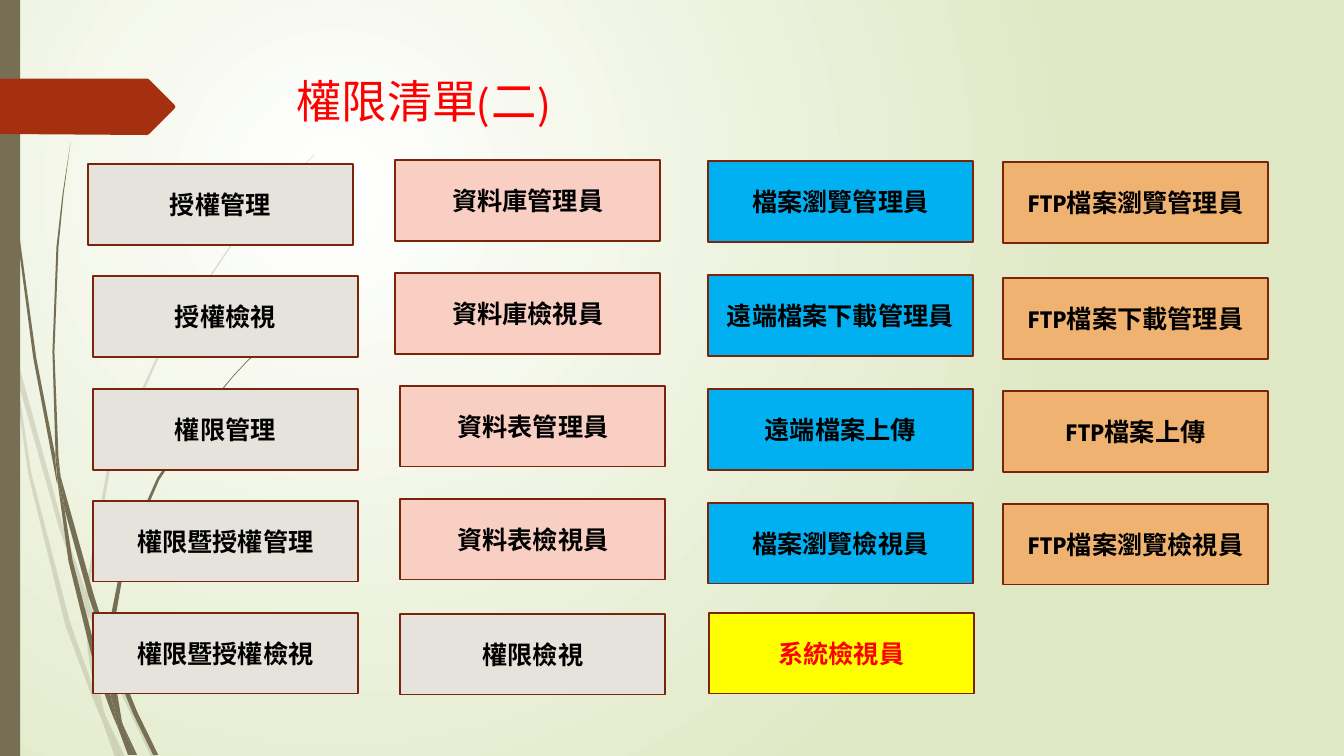
from pptx import Presentation
from pptx.dml.color import RGBColor
from pptx.enum import shapes as kinds, text as flow
from pptx.oxml import ns, parse_xml
from pptx import util as u

PX = 9144  # 100 px to the inch
OLIVE = RGBColor(0x76, 0x6F, 0x54)
RUST = RGBColor(0xA5, 0x30, 0x10)
EDGE = RGBColor(0x7A, 0x24, 0x0C)
GREY = RGBColor(0xE5, 0xE3, 0xDB)
PINK = RGBColor(0xF9, 0xCF, 0xC3)
BLUE = RGBColor(0x00, 0xB0, 0xF0)
AMBER = RGBColor(0xF0, 0xB2, 0x70)
YELLOW = RGBColor(0xFF, 0xFF, 0x00)
RED = RGBColor(0xFF, 0x00, 0x00)
BLACK = RGBColor(0, 0, 0)
WHITE = RGBColor(0xFF, 0xFF, 0xFF)
PALE = RGBColor(0xDF, 0xE8, 0xC4)


def write(shape, words, size=18, color=BLACK, bold=True,
          align=flow.PP_ALIGN.CENTER, anchor=flow.MSO_ANCHOR.MIDDLE):
    frame = shape.text_frame
    frame.word_wrap = True
    frame.auto_size = flow.MSO_AUTO_SIZE.NONE
    frame.vertical_anchor = anchor
    par = frame.paragraphs[0]
    par.alignment = align
    run = par.add_run()
    run.text = words
    run.font.name = "League Spartan"
    run.font.size = u.Pt(size)
    run.font.bold = bold
    run.font.color.rgb = color


def outline(points, color):
    spots = [tuple(int(n) * PX for n in spot.split(","))
             for spot in points.split()]
    pen = slide.shapes.build_freeform(*spots[0], scale=1)
    pen.add_line_segments(spots[1:], close=True)
    shape = pen.convert_to_shape()
    shape.shadow.inherit = False
    shape.fill.solid()
    shape.fill.fore_color.rgb = color
    shape.line.fill.background()
    return shape


deck = Presentation()
deck.slide_width, deck.slide_height = 1333 * PX, 750 * PX
slide = deck.slides.add_slide(deck.slide_layouts[5])

# Background: a glow centred in the upper left
back = slide.background.fill
back.gradient()
for stop, color in zip(back.gradient_stops, (WHITE, PALE)):
    stop.color.rgb = color
grad = next(slide.element.iter(ns.qn("a:gradFill")))
grad.replace(grad.find(ns.qn("a:lin")), parse_xml(
    f'<a:path {ns.nsdecls("a")} path="circle"><a:fillToRect '
    'l="50000" t="50000" r="100000" b="100000"/></a:path>'))

# Grass blades, the pale ones behind
FAINT = [
    "11,350 9,322 0,282 0,299 10,344",
    "58,522 84,599 85,586 62,520 14,345 17,376",
    "92,607 88,596 88,610 123,694 150,751 155,751 127,692",
    "119,751 124,751 105,711",
    "93,683 70,619 31,469 17,376 11,350 28,470 65,621 92,693 101,714 99,707",
    "84,599 87,646 93,683 96,692 105,711 103,706 91,646 88,610 88,608",
    "88,584 110,462 160,349 229,245 268,198 290,175 312,154 312,153 "
    "289,175 268,197 228,244 158,348 107,461 85,584 85,586 88,596",
    "101,714 114,751 119,751",
    "88,608 88,610 88,596 85,586 84,599",
    "96,692 93,683 99,707 101,714 119,751 105,711",
]
DARK = [
    "7,110 17,233 33,355 56,477 57,481 55,457 55,453 36,355 19,232 "
    "8,109 5,48 4,0 3,0 4,48",
    "88,592 106,645 106,633 106,631 93,590 60,472 64,505",
    "113,649 110,641 111,656 132,708 152,749 157,749 136,706",
    "110,691 98,657 72,556 64,505 57,477 68,557 93,659 111,708 117,722 "
    "116,717",
    "60,472 58,453 54,349 58,245 63,193 70,141 62,193 56,245 52,349 55,449",
    "133,749 136,749 122,719",
    "57,477 64,505 60,472 55,449 55,453",
    "111,633 125,552 158,476 205,406 231,374 245,359 261,344 260,344 "
    "245,358 231,373 204,405 156,474 122,551 106,631 110,641",
    "117,722 127,749 131,749",
    "106,645 110,691 116,706 122,719 121,716 111,656 109,651",
    "116,706 110,691 116,717 117,722 130,749 133,749 122,719",
]
for blade in FAINT:
    shape = outline(blade, OLIVE)
    tint = next(shape.element.spPr.iter(ns.qn("a:srgbClr")))
    tint.append(parse_xml(f'<a:alpha {ns.nsdecls("a")} val="20000"/>'))
for blade in DARK:
    outline(blade, OLIVE)

# Side bar and title arrow
bar = slide.shapes.add_shape(
    kinds.MSO_SHAPE.RECTANGLE, 0, 0, 20 * PX, 750 * PX)
bar.shadow.inherit = False
bar.fill.solid()
bar.fill.fore_color.rgb = OLIVE
bar.line.fill.background()
outline("0,78 146,78 148,79 173,104 174,106 173,108 148,133 146,134 0,133",
        RUST)

# Title
title = slide.shapes.title
title.left, title.top, title.width, title.height = (
    n * PX for n in (284, 68, 975, 64))
write(title, "權限清單(二)", size=32.4, color=RED, bold=False,
      align=flow.PP_ALIGN.LEFT, anchor=flow.MSO_ANCHOR.TOP)

# Roles: left edge, fill, text colour, then top and label of each box
ROLES = [
    (87, GREY, BLACK, [(163, "授權管理")]),
    (92, GREY, BLACK, [(274, "授權檢視"), (386, "權限管理"),
                       (497, "權限暨授權管理"), (608, "權限暨授權檢視")]),
    (392, PINK, BLACK, [(159, "資料庫管理員"), (271, "資料庫檢視員")]),
    (397, PINK, BLACK, [(383, "資料表管理員"), (495, "資料表檢視員")]),
    (397, GREY, BLACK, [(609, "權限檢視")]),
    (702, BLUE, BLACK, [(160, "檔案瀏覽管理員"), (273, "遠端檔案下載管理員"),
                        (386, "遠端檔案上傳"), (499, "檔案瀏覽檢視員")]),
    (703, YELLOW, RED, [(608, "系統檢視員")]),
    (995, AMBER, BLACK, [(161, "FTP檔案瀏覽管理員"), (276, "FTP檔案下載管理員"),
                         (388, "FTP檔案上傳"), (500, "FTP檔案瀏覽檢視員")]),
]
for left, fill, color, boxes in ROLES:
    for top, label in boxes:
        box = slide.shapes.add_shape(
            kinds.MSO_SHAPE.RECTANGLE, left * PX, top * PX, 263 * PX, 80 * PX)
        box.shadow.inherit = False
        box.fill.solid()
        box.fill.fore_color.rgb = fill
        box.line.color.rgb = EDGE
        box.line.width = u.Pt(1.25)
        write(box, label, color=color)

deck.save("out.pptx")
